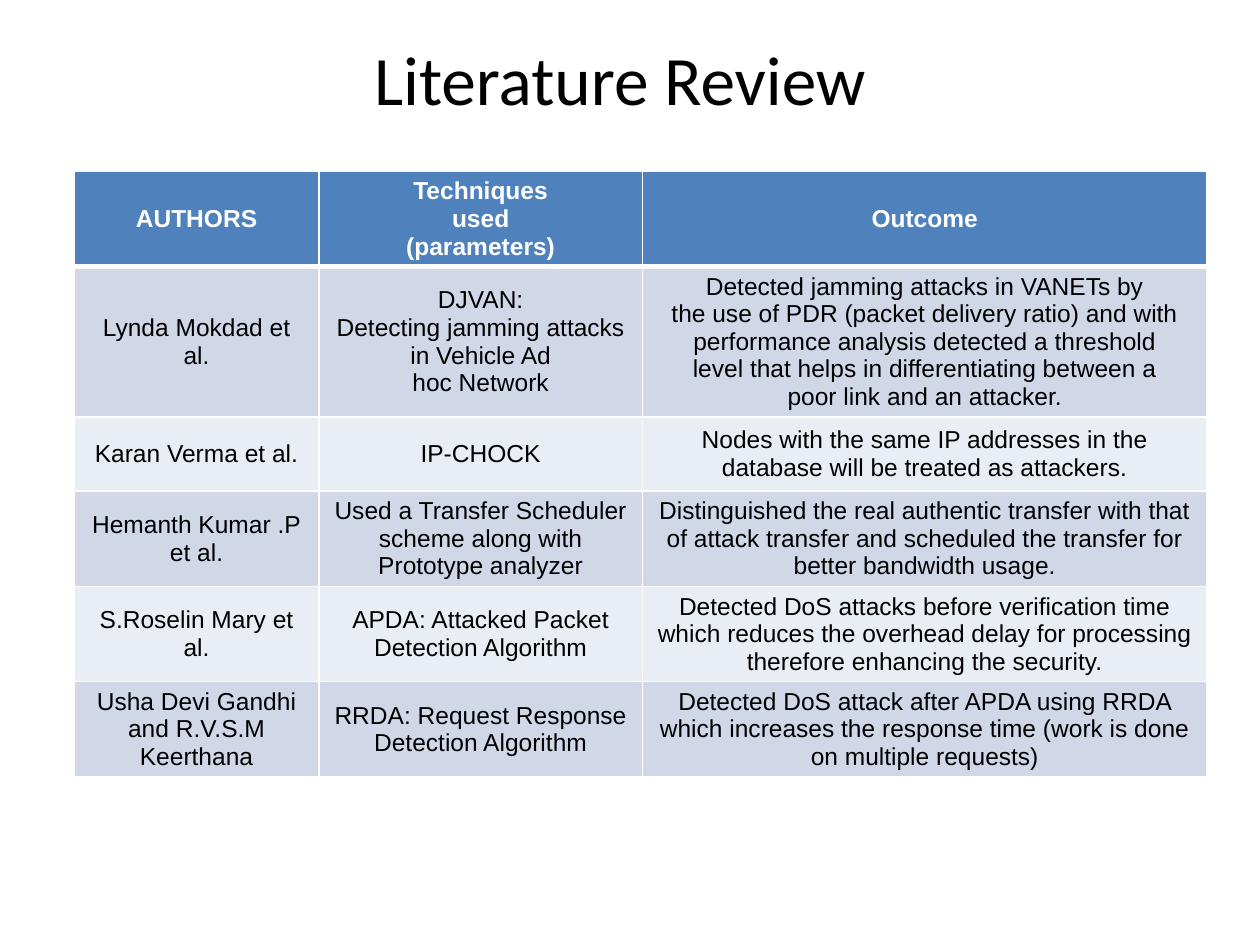
from dataclasses import dataclass
from lxml.etree import SubElement as Sub
from pptx import Presentation
from pptx.dml.color import RGBColor as Rgb
from pptx.enum.text import MSO_ANCHOR as Anchor, PP_ALIGN as Align
from pptx.oxml.ns import qn
from pptx.util import Inches, Pt


@dataclass(frozen=True)
class Theme:
    head: str = "4F81BD"
    bands: tuple = ("D0D8E8", "E9EDF4")
    white: str = "FFFFFF"
    black: str = "000000"
    title: float = 39.6
    body: float = 14


THEME = Theme()
COLS = (1.94, 2.57, 4.48)
HIGHS = (0.7, 0.7, 0.59, 0.7, 0.7, 0.7)
ROWS = (
    ("AUTHORS", "Techniques\nused\n(parameters)", "Outcome"),
    ("Lynda Mokdad et\nal.",
     "DJVAN:\nDetecting jamming attacks in Vehicle Ad\nhoc Network",
     "Detected jamming attacks in VANETs by\n"
     "the use of PDR (packet delivery ratio) and with\n"
     "performance analysis detected a threshold\n"
     "level that helps in differentiating between a\n"
     "poor link and an attacker."),
    ("Karan Verma et al.", "IP-CHOCK",
     "Nodes with the same IP addresses in the database will be treated "
     "as attackers."),
    ("Hemanth Kumar .P\net al.",
     "Used a Transfer Scheduler scheme along with Prototype analyzer",
     "Distinguished the real authentic transfer with that of attack transfer "
     "and scheduled the transfer for\nbetter bandwidth usage."),
    ("S.Roselin Mary et al.", "APDA: Attacked Packet Detection Algorithm",
     "Detected DoS attacks before verification time which reduces the "
     "overhead delay for processing therefore enhancing the security."),
    ("Usha Devi Gandhi and R.V.S.M Keerthana",
     "RRDA: Request Response\nDetection Algorithm",
     "Detected DoS attack after APDA using RRDA which increases the response "
     "time (work is done on multiple requests)"),
)


def write(frame, text, size, color, font="Arial", bold=False):
    """Fill a text frame with one centred paragraph per line."""
    for i, line in enumerate(text.split("\n")):
        para = frame.paragraphs[0] if i == 0 else frame.add_paragraph()
        para.alignment = Align.CENTER
        run = para.add_run()
        run.text = line
        run.font.name, run.font.size, run.font.bold = font, Pt(size), bold
        run.font.color.rgb = Rgb.from_string(color)


def edge(cell, base):
    """Draw the four cell borders; base is the width of the lower one."""
    props = cell._tc.get_or_add_tcPr()
    for side, width in zip("LRTB", (1, 1, 1, base)):
        line = Sub(props, qn(f"a:ln{side}"), w=str(Pt(width)))
        Sub(Sub(line, qn("a:solidFill")), qn("a:srgbClr"), val=THEME.white)


def add_title(slide, text, box):
    title = slide.shapes.title
    title.left, title.top, title.width, title.height = map(Inches, box)
    title.text_frame.vertical_anchor = Anchor.MIDDLE
    write(title.text_frame, text, THEME.title, THEME.black, font="Calibri")


def add_grid(slide, left, top):
    size = map(Inches, (left, top, sum(COLS), sum(HIGHS)))
    grid = slide.shapes.add_table(len(ROWS), len(COLS), *size).table
    for col, width in zip(grid.columns, COLS):
        col.width = Inches(width)
    for r, (row, high) in enumerate(zip(ROWS, HIGHS)):
        grid.rows[r].height = Inches(high)
        head = r == 0
        fill = THEME.head if head else THEME.bands[(r - 1) % 2]
        for c, text in enumerate(row):
            cell = grid.cell(r, c)
            edge(cell, 3 if head else 1)
            cell.fill.solid()
            cell.fill.fore_color.rgb = Rgb.from_string(fill)
            cell.vertical_anchor = Anchor.MIDDLE
            write(cell.text_frame, text, THEME.body,
                  THEME.white if head else THEME.black, bold=head)


# Deck
deck = Presentation()
deck.slide_width, deck.slide_height = Inches(10), Inches(7.5)
slide = deck.slides.add_slide(deck.slide_layouts[5])

# Heading and review table
add_title(slide, "Literature Review", (0.42, 0.22, 9, 0.8))
add_grid(slide, 0.59, 1.36)

deck.save("out.pptx")
